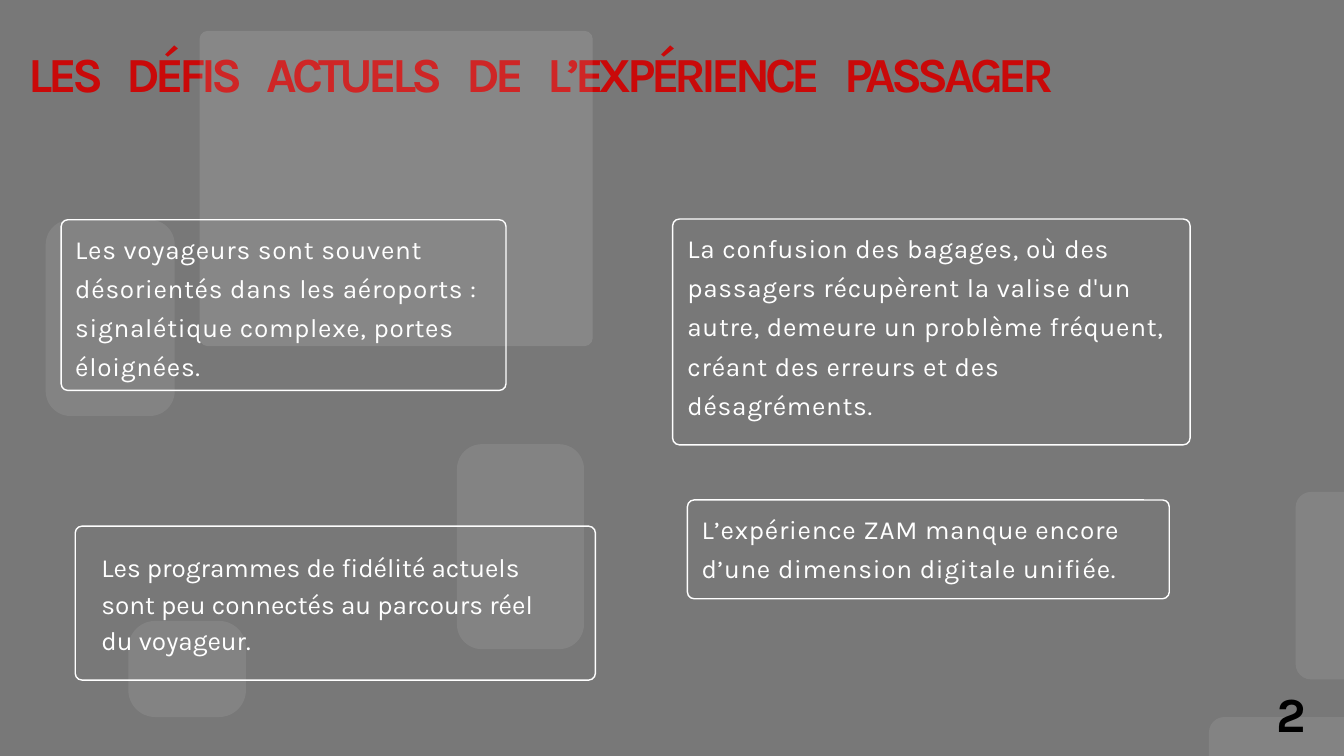
import pptx
import pptx.util
import pptx.dml.color
import pptx.enum.shapes
import pptx.enum.text
from lxml import etree
from pptx.oxml.ns import qn

BACKGROUND = pptx.dml.color.RGBColor(0x78, 0x78, 0x78)
RED = pptx.dml.color.RGBColor(0xCA, 0x09, 0x09)
WHITE = pptx.dml.color.RGBColor(0xFF, 0xFF, 0xFF)
BLACK = pptx.dml.color.RGBColor(0x00, 0x00, 0x00)
GREY = pptx.dml.color.RGBColor(0xD9, 0xD9, 0xD9)
PALE = pptx.dml.color.RGBColor(0xFA, 0xFA, 0xFA)

FONT = "Karla"
# The slide is a grid of square cells; boxes are (column, row, columns, rows)
COLUMNS, ROWS = 20, 11.25
CELL = pptx.util.Inches(1)
VEIL_OPACITY = 12  # percent

# Translucent blocks: box, corner radius
LEFT_VEILS = [
    ((1.91, 9.24, 1.75, 1.43), 0.4),
    ((0.68, 3.27, 1.92, 2.92), 0.37),
    ((6.8, 6.61, 1.89, 3.05), 0.37),
]
CORNER_VEILS = [
    ((19.28, 7.32, 2.99, 2.79), 0.23),
    ((17.99, 10.67, 2.99, 2.79), 0.23),
]

# Challenge cards: frame, text area inside the frame, text, text format
CARDS = [
    ((0.91, 3.27, 6.62, 2.54), (0.21, 0.08, 7.27, 2.26),
     "Les voyageurs sont souvent désorientés dans les aéroports : "
     "signalétique complexe, portes éloignées.", {}),
    ((1.12, 7.83, 7.74, 2.29), (0.39, 0.3, 6.93, 1.59),
     "Les programmes de fidélité actuels sont peu connectés au parcours "
     "réel du voyageur.", {"leading": 39.2, "tracking": 0}),
    ((10.01, 3.26, 7.7, 3.36), (0.22, 0.08, 7.27, 2.83),
     "La confusion des bagages, où des passagers récupèrent la valise d'un "
     "autre, demeure un problème fréquent, créant des erreurs et des "
     "désagréments.", {}),
    ((10.23, 7.44, 7.17, 1.47), (0.21, 0.08, 7.27, 1.11),
     "L’expérience ZAM manque encore d’une dimension digitale unifiée.", {}),
]


def place(box):
    return [round(length * CELL) for length in box]


def add_text(slide, box, text, size=28, color=WHITE, bold=False, leading=42,
             tracking=0.8, word_gap=None,
             align=pptx.enum.text.PP_ALIGN.LEFT):
    """Write one paragraph; word_gap sets a separate tracking for spaces."""
    frame = slide.shapes.add_textbox(*place(box)).text_frame
    frame.word_wrap = True
    frame.margin_left = frame.margin_right = 0
    frame.margin_top = frame.margin_bottom = 0
    paragraph = frame.paragraphs[0]
    paragraph.alignment = align
    paragraph.line_spacing = pptx.util.Pt(leading)
    pieces = [text]
    if word_gap is not None:
        pieces = text.replace(" ", "| |").split("|")
    for piece in pieces:
        run = paragraph.add_run()
        run.text = piece
        run.font.name = FONT
        run.font.size = pptx.util.Pt(size)
        run.font.bold = bold
        run.font.color.rgb = color
        spacing = word_gap if piece == " " else tracking
        run.font._element.set("spc", str(round(spacing * 100)))


def add_rounded(slide, box, radius):
    block = slide.shapes.add_shape(
        pptx.enum.shapes.MSO_SHAPE.ROUNDED_RECTANGLE, *place(box))
    block.adjustments[0] = radius / min(box[2:])
    block.shadow.inherit = False
    return block


def add_veil(slide, box, radius, color=GREY):
    veil = add_rounded(slide, box, radius)
    veil.line.fill.background()
    veil.fill.solid()
    veil.fill.fore_color.rgb = color
    tint = veil._element.spPr.find(qn("a:solidFill"))[0]
    etree.SubElement(tint, qn("a:alpha"), val=str(VEIL_OPACITY * 1000))


def add_card(slide, box, text_area, text, text_format):
    outline = add_rounded(slide, box, 0.1)
    outline.fill.background()
    outline.line.color.rgb = WHITE
    outline.line.width = pptx.util.Pt(1.5)
    left, top, width, height = text_area
    add_text(slide, (box[0] + left, box[1] + top, width, height), text,
             **text_format)


def add_header(slide, box):
    add_text(slide, box, "LES DÉFIS ACTUELS DE L’EXPÉRIENCE PASSAGER",
             size=52.5, color=RED, bold=True, leading=52.5, tracking=-5.2,
             word_gap=12)


def add_page_number(slide, box):
    add_text(slide, box, "2", size=52.5, color=BLACK, bold=True, leading=73.5,
             tracking=1.5, align=pptx.enum.text.PP_ALIGN.CENTER)


def main():
    deck = pptx.Presentation()
    deck.slide_width, deck.slide_height = place((COLUMNS, ROWS))
    slide = deck.slides.add_slide(deck.slide_layouts[6])
    slide.background.fill.solid()
    slide.background.fill.fore_color.rgb = BACKGROUND

    # Backdrop, with the large panel lying over the title
    for box, radius in LEFT_VEILS:
        add_veil(slide, box, radius)
    add_header(slide, (0.43, 0.8, 18.79, 0.76))
    add_veil(slide, (2.97, 0.46, 5.85, 4.69), 0.12, color=PALE)
    for box, radius in CORNER_VEILS:
        add_veil(slide, box, radius)

    # Challenges
    for card in CARDS:
        add_card(slide, *card)

    add_page_number(slide, (18.43, 10.02, 1.57, 0.98))
    deck.save("out.pptx")


if __name__ == "__main__":
    main()
